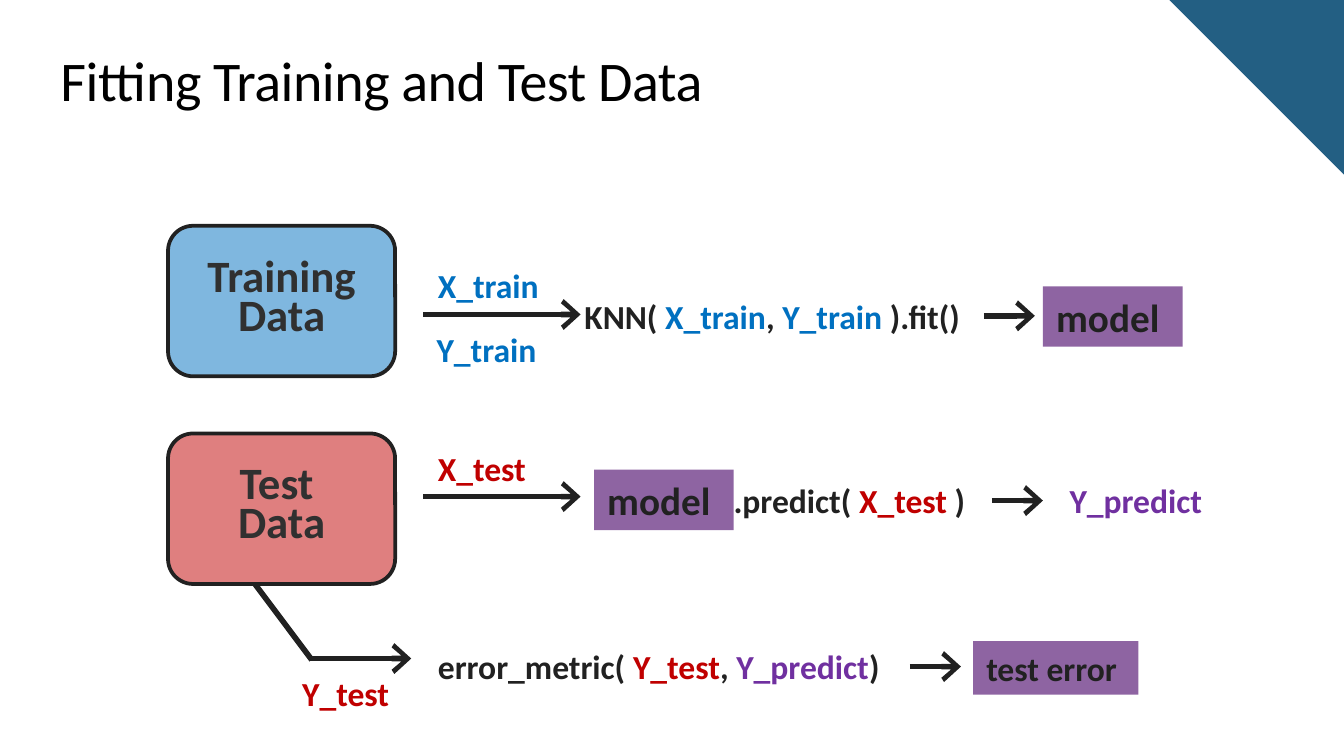
import lxml.etree
import pptx
import pptx.dml.color
import pptx.enum.shapes
import pptx.enum.text
import pptx.oxml.ns
import pptx.util

UNIT = pptx.util.Inches(0.1)
COLUMNS, ROWS = 100, 56.25
TEXT_HEIGHT = 4
COLORS = {
    "corner": "235F83",
    "ink": "212121",
    "heading": "303030",
    "title": "000000",
    "train": "0070C0",
    "test": "C00000",
    "predict": "7030A0",
    "chip": "8E64A2",
}
SHAPES = pptx.enum.shapes.MSO_SHAPE


def color(name):
    """Return the named colour."""
    return pptx.dml.color.RGBColor.from_string(COLORS[name])


def grid(*lengths):
    """Turn grid columns or rows into slide lengths."""
    return [round(length * UNIT) for length in lengths]


def inside(box, left, top, width, height):
    """Return a box placed relative to the corner of another box."""
    return box[0] + left, box[1] + top, width, height


def add_child(parent, tag, **attributes):
    """Append a drawing element with attributes to an XML parent."""
    return lxml.etree.SubElement(parent, pptx.oxml.ns.qn(tag), attributes)


def add_runs(para, runs, size, bold=True):
    """Add coloured runs to a paragraph."""
    for text, name in runs:
        span = para.add_run()
        span.text = text
        span.font.name = "Calibri"
        span.font.size = pptx.util.Pt(size)
        span.font.bold = bold
        span.font.color.rgb = color(name)


def add_text(page, box, *runs):
    """Place one line of coloured bold text."""
    frame = page.shapes.add_textbox(*grid(*box)).text_frame
    frame.word_wrap = True
    add_runs(frame.paragraphs[0], runs, 18)


def add_panel(page, kind, box, fill):
    """Place a filled shape without shadow or outline."""
    panel = page.shapes.add_shape(kind, *grid(*box))
    panel.shadow.inherit = False
    panel.fill.solid()
    panel.fill.fore_color.rgb = color(fill)
    panel.line.fill.background()
    return panel


def add_chip(page, box, text, size):
    """Place a purple result chip."""
    chip = add_panel(page, SHAPES.RECTANGLE, box, "chip")
    frame = chip.text_frame
    frame.word_wrap = True
    frame.vertical_anchor = pptx.enum.text.MSO_ANCHOR.TOP
    frame.paragraphs[0].alignment = pptx.enum.text.PP_ALIGN.LEFT
    add_runs(frame.paragraphs[0], [(text, "ink")], size)


def add_model(page, box, left, top):
    """Place the model chip relative to a row."""
    add_chip(page, inside(box, left, top, 10.4, 4.5), "model", 21)


def add_line(shapes, box, start, end, arrow=True):
    """Draw a line between two points of a box."""
    ends = [box[axis] + point[axis] for point in (start, end) for axis in (0, 1)]
    line = shapes.add_connector(
        pptx.enum.shapes.MSO_CONNECTOR.STRAIGHT, *grid(*ends)
    )
    line.line.color.rgb = color("ink")
    line.line.width = pptx.util.Pt(3)
    properties = line._element.spPr
    if arrow:
        outline = properties.find(pptx.oxml.ns.qn("a:ln"))
        add_child(outline, "a:tailEnd", type="arrow", w="lg", len="med")
    add_child(properties, "a:effectLst")


def add_arrow(page, box, left, top, length):
    """Draw a level arrow in a row."""
    add_line(page.shapes, box, (left, top), (left + length, top))


def add_data(page, box, words, fill):
    """Place a rounded data set at the left of a row."""
    data = add_panel(
        page, SHAPES.ROUNDED_RECTANGLE, inside(box, 0, 0, 16.9, box[3]), fill
    )
    solid = data._element.spPr.find(pptx.oxml.ns.qn("a:solidFill"))
    add_child(solid[0], "a:alpha", val="50000")
    data.line.color.rgb = color("ink")
    data.line.width = pptx.util.Pt(2)
    frame = data.text_frame
    frame.word_wrap = True
    frame.vertical_anchor = pptx.enum.text.MSO_ANCHOR.MIDDLE
    for index, word in enumerate(words):
        para = frame.add_paragraph() if index else frame.paragraphs[0]
        para.alignment = pptx.enum.text.PP_ALIGN.CENTER
        para.line_spacing = pptx.util.Pt(21)
        add_runs(para, [(word, "heading")], 24)


def draw_corner(page, box):
    """Draw the corner triangle."""
    add_panel(page, SHAPES.RIGHT_TRIANGLE, box, "corner").rotation = 180


def draw_title(page, box):
    """Place the slide title."""
    frame = page.shapes.add_textbox(*grid(*box)).text_frame
    frame.word_wrap = True
    frame.margin_left = frame.margin_right = 0
    frame.margin_top = frame.margin_bottom = 0
    para = frame.paragraphs[0]
    add_runs(para, [("Fitting Training and Test Data", "title")], 30, False)
    para._p.get_or_add_pPr().set("marL", str(pptx.util.Inches(0.01)))
    para.runs[0].font._element.set("spc", "-25")


def draw_training(page, box):
    """Draw the row that fits the model."""
    add_data(page, box, ["Training", "Data"], "train")
    add_arrow(page, box, 19, 6.6, 11.7)
    add_text(page, inside(box, 19.1, 2.4, 9.9, TEXT_HEIGHT), ("X_train", "train"))
    add_text(page, inside(box, 19, 7.2, 9.8, TEXT_HEIGHT), ("Y_train", "train"))
    add_text(
        page, inside(box, 30, 4.7, 31.5, TEXT_HEIGHT),
        ("KNN( ", "ink"), ("X_train", "train"), (", ", "ink"),
        ("Y_train ", "train"), (").fit()", "ink"),
    )
    add_arrow(page, box, 60.7, 6.7, 3.8)
    add_model(page, box, 65.1, 4.5)


def draw_test(page, box):
    """Draw the row that predicts from the test data."""
    add_data(page, box, ["Test ", "Data"], "test")
    add_arrow(page, box, 19, 4.7, 11.7)
    add_text(page, inside(box, 19.1, 0.6, 9, TEXT_HEIGHT), ("X_test", "test"))
    add_model(page, box, 31.7, 2.7)
    add_text(
        page, inside(box, 41.1, 3, 20.4, TEXT_HEIGHT),
        (".predict( ", "ink"), ("X_test", "test"), (" )", "ink"),
    )
    add_arrow(page, box, 61.3, 5, 3.8)
    add_text(page, inside(box, 66.1, 3, 12.7, TEXT_HEIGHT), ("Y_predict", "predict"))


def draw_error(page, box):
    """Draw the row that measures the test error."""
    branch = page.shapes.add_group_shape()
    add_line(branch.shapes, box, (0, 0), (4.2, 5.6), arrow=False)
    add_line(branch.shapes, box, (4.1, 5.5), (11.6, 5.5))
    add_text(page, inside(box, 2.5, 6.1, 8.9, TEXT_HEIGHT), ("Y_test", "test"))
    add_text(
        page, inside(box, 12.6, 4.1, 40.1, TEXT_HEIGHT),
        ("error_metric( ", "ink"), ("Y_test", "test"), (", ", "ink"),
        ("Y_predict", "predict"), (")", "ink"),
    )
    add_arrow(page, box, 48.7, 6.1, 3.8)
    add_chip(page, inside(box, 53.4, 4.2, 12.3, TEXT_HEIGHT), "test error", 18)


def main():
    """Build and save the deck."""
    deck = pptx.Presentation()
    deck.slide_width, deck.slide_height = grid(COLUMNS, ROWS)
    page = deck.slides.add_slide(deck.slide_layouts[6])
    draw_corner(page, (COLUMNS - 13, 0, 13, 13))
    draw_title(page, (4.4, 3.4, 92.3, 5))
    draw_training(page, (12.5, 16.8, 75.5, 11.2))
    draw_test(page, (12.5, 32.25, 78.8, 11.2))
    draw_error(page, (19, 43.5, 65.7, 10.1))
    deck.save("out.pptx")


if __name__ == "__main__":
    main()
